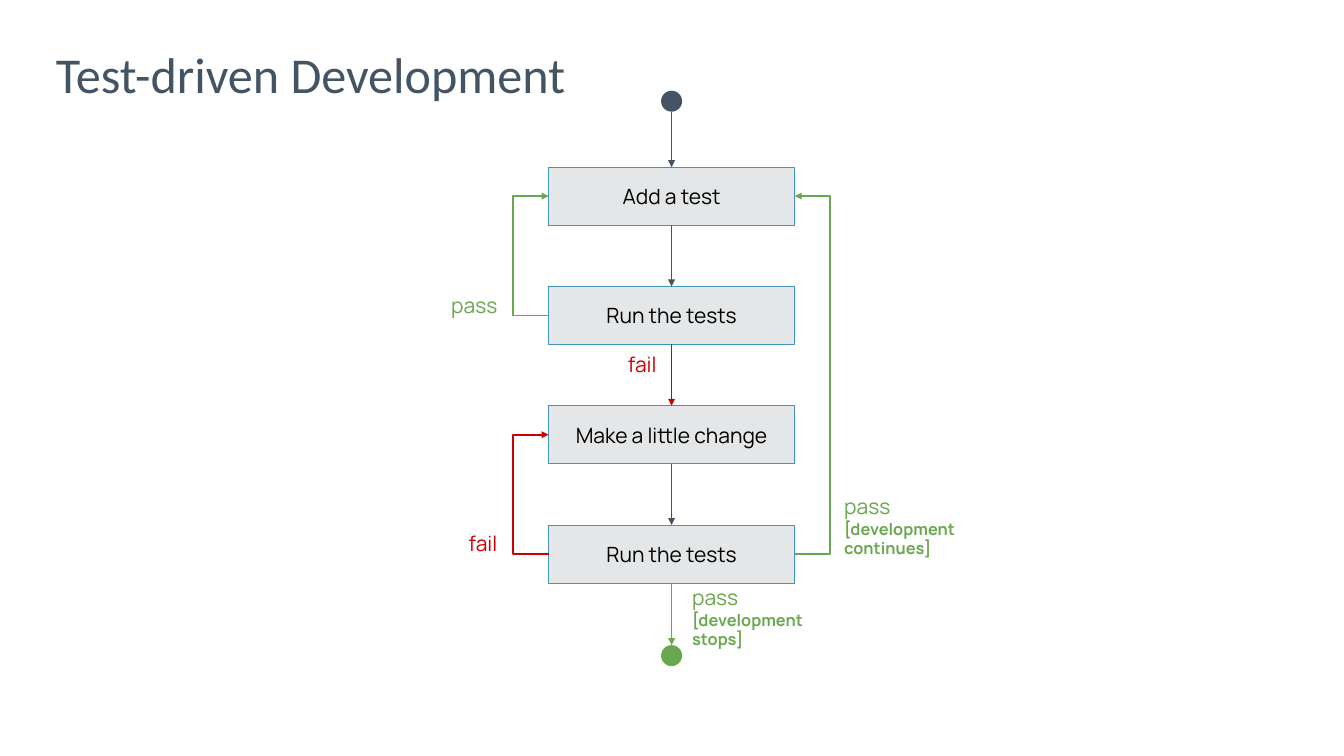
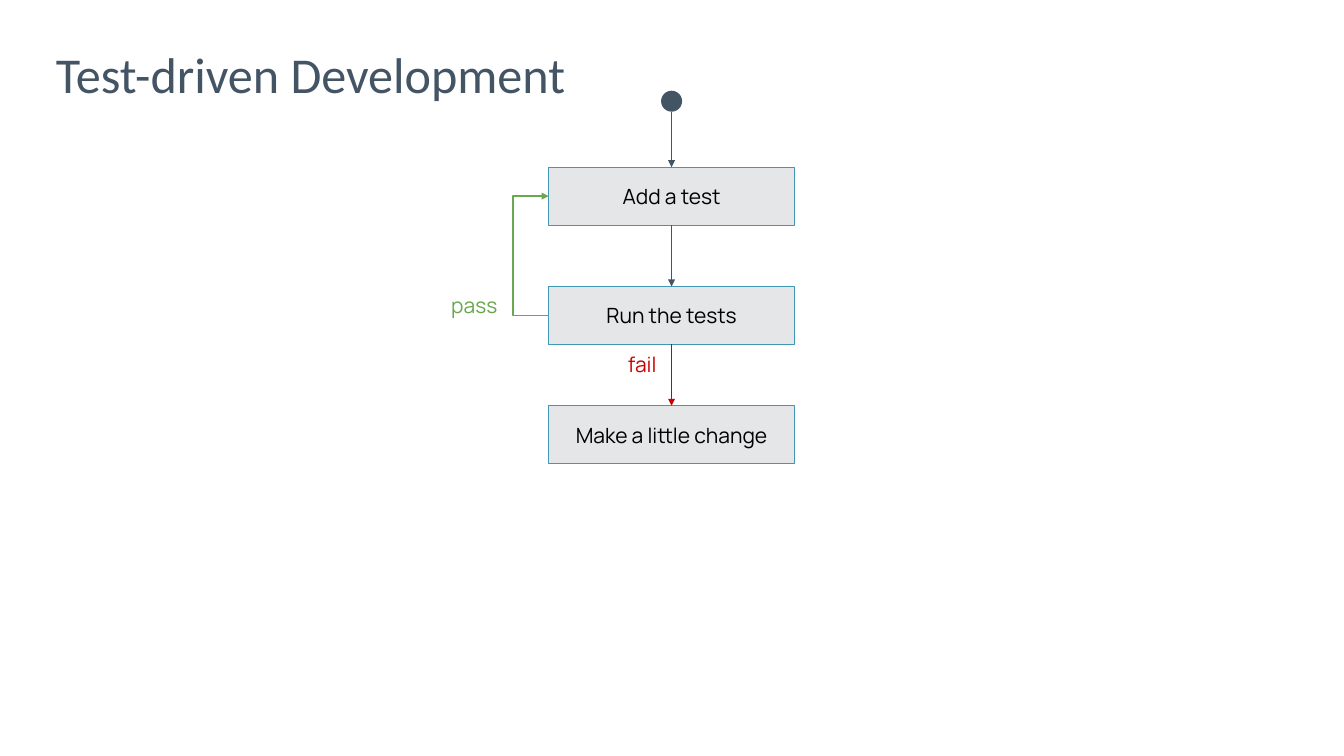
from lxml import etree
from pptx import Presentation
from pptx import util as u
from pptx.dml.color import RGBColor
from pptx.enum import shapes, text
from pptx.oxml.ns import qn

SLATE = RGBColor(0x43, 0x54, 0x64)
GREEN = RGBColor(0x6A, 0xA8, 0x4F)
RED = RGBColor(0xCC, 0x00, 0x00)
BLACK = RGBColor(0x00, 0x00, 0x00)
GREY = RGBColor(0xE4, 0xE6, 0xE7)
BLUE = RGBColor(0x41, 0x97, 0xB5)

prs = Presentation()
prs.slide_width = W = u.Inches(16)
prs.slide_height = u.Inches(9)

BOX_W, BOX_H = u.Inches(2.93), u.Inches(0.69)
LEFT = u.Inches(6.53)
RIGHT = LEFT + BOX_W
CX = LEFT + BOX_W // 2
TOP, PITCH = u.Inches(1.99), u.Inches(1.42)
DOT, LOOP, INSET = u.Inches(0.25), u.Inches(0.47), u.Inches(0.18)
LABEL_W, LABEL_H = u.Inches(0.92), u.Inches(0.25)
LABEL_X = u.Inches(5.18)
ELBOW_W = 1200
MARGIN = W // 24

TOPS = [TOP + i * PITCH for i in range(4)]
MIDS = [y + BOX_H // 2 for y in TOPS]
DOT_TOPS = {SLATE: u.Inches(1.08), GREEN: u.Inches(7.68)}

STEPS = ["Add a test", "Run the tests", "Make a little change", "Run the tests"]
DOWN = [SLATE, RED, SLATE]
LOOPS = [
    (1, 0, LEFT, -LOOP, GREEN),
    (3, 2, LEFT, -LOOP, RED),
    (3, 0, RIGHT, LOOP, GREEN),
]
R, L = text.PP_ALIGN.RIGHT, text.PP_ALIGN.LEFT
LABELS = [
    (1, LABEL_X, MIDS[1] - LABEL_H, LABEL_W, LABEL_H, R, GREEN, ["pass"]),
    (1, CX - LABEL_W, u.Inches(4.21), LABEL_W, LABEL_H, R, RED, ["fail"]),
    (3, LABEL_X, MIDS[3] - LABEL_H, LABEL_W, LABEL_H, R, RED, ["fail"]),
    (3, u.Inches(9.87), u.Inches(5.92), u.Inches(1.99), u.Inches(0.68), L, GREEN,
     ["pass", "[development continues]"]),
    (3, u.Inches(8.06), u.Inches(7.22), u.Inches(2.25), LABEL_H, L, GREEN,
     ["pass", "[development stops]"]),
]


def write(sp, lines, color, align, font="Manrope", size=18, inset=INSET):
    tf = sp.text_frame
    tf.word_wrap = True
    tf.vertical_anchor = text.MSO_ANCHOR.MIDDLE
    tf.margin_left = tf.margin_right = tf.margin_top = tf.margin_bottom = inset
    for i, line in enumerate(lines):
        p = tf.add_paragraph() if i else tf.paragraphs[0]
        p.alignment = align
        r = p.add_run()
        r.text = line
        r.font.name = font
        r.font.size = u.Pt(14 if i else size)
        r.font.bold = i > 0
        r.font.color.rgb = color
    return tf


def arrow(s, kind, x1, y1, x2, y2, color):
    c = s.shapes.add_connector(kind, x1, y1, x2, y2)
    c.line.color.rgb = color
    c.line.width = u.Pt(1.5)
    etree.SubElement(c.line._get_or_add_ln(), qn("a:tailEnd"), type="triangle")
    etree.SubElement(c._element.spPr, qn("a:effectLst"))
    return c


for count in (4, 3):
    s = prs.slides.add_slide(prs.slide_layouts[6])
    title = s.shapes.add_textbox(MARGIN, u.Inches(0.6), W - 2 * MARGIN, u.Inches(0.67))
    tf = write(title, ["Test-driven Development"], SLATE, L, "Calibri", 43, 0)
    tf.vertical_anchor = text.MSO_ANCHOR.TOP
    tf.paragraphs[0].line_spacing = 0.9

    boxes = []
    for y, step in zip(TOPS[:count], STEPS):
        sp = s.shapes.add_shape(shapes.MSO_SHAPE.RECTANGLE, LEFT, y, BOX_W, BOX_H)
        sp.shadow.inherit = False
        sp.fill.solid()
        sp.fill.fore_color.rgb = GREY
        sp.line.color.rgb = BLUE
        sp.line.width = u.Pt(0.75)
        write(sp, [step], BLACK, text.PP_ALIGN.CENTER)
        boxes.append(sp)

    dots = []
    for color in (SLATE, GREEN)[:count - 2]:
        sp = s.shapes.add_shape(shapes.MSO_SHAPE.OVAL, CX - DOT // 2, DOT_TOPS[color], DOT, DOT)
        sp.shadow.inherit = False
        sp.fill.solid()
        sp.fill.fore_color.rgb = color
        sp.line.fill.background()
        dots.append(sp)

    straight = shapes.MSO_CONNECTOR.STRAIGHT
    c = arrow(s, straight, CX, DOT_TOPS[SLATE] + DOT, CX, TOP, SLATE)
    c.end_connect(boxes[0], 0)
    links = list(zip(boxes, boxes[1:], DOWN))
    if count == 4:
        links.append((boxes[3], dots[1], GREEN))
    for a, b, color in links:
        c = arrow(s, straight, CX, a.top + BOX_H, CX, b.top, color)
        c.begin_connect(a, 2)
        c.end_connect(b, 0)

    for start, end, x, reach, color in LOOPS:
        if start < count:
            c = arrow(s, shapes.MSO_CONNECTOR.ELBOW, x, MIDS[start], x + ELBOW_W, MIDS[end], color)
            c._element.spPr.prstGeom.get_or_add_avLst()
            gd = etree.SubElement(c._element.spPr.prstGeom.avLst, qn("a:gd"), name="adj1")
            gd.set("fmla", f"val {reach * 100000 // ELBOW_W}")

    for row, x, y, w, h, align, color, lines in LABELS:
        if row < count:
            write(s.shapes.add_textbox(x, y, w, h), lines, color, align)

prs.save("out.pptx")
